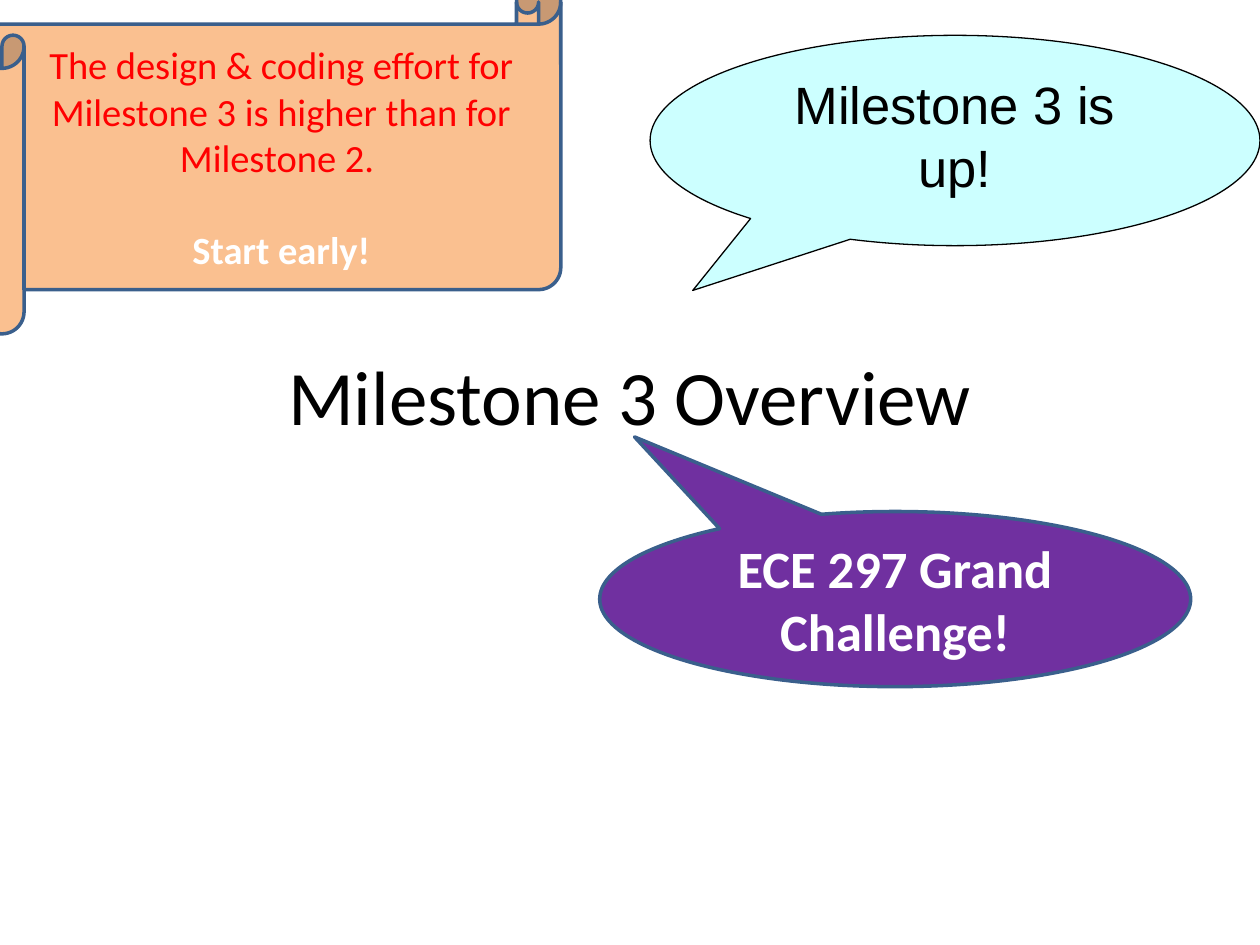
from pptx import Presentation
from pptx.dml.color import RGBColor
from pptx.enum.shapes import MSO_SHAPE
from pptx.enum.text import MSO_ANCHOR, PP_ALIGN
from pptx.util import Pt

SLIDE_SIZE = (720, 540)
BLANK_LAYOUT = 6
SIDE_MARGIN = 9

ANNOUNCEMENT = {
    "preset": MSO_SHAPE.OVAL_CALLOUT,
    "box": (371.5, 20.2, 348.5, 120.2),
    "adjustments": (-0.43, 0.713),
    "fill": "CCFFFF",
    "line": ("000000", 0.75),
    "anchor": MSO_ANCHOR.TOP,
    "paragraphs": [
        ("Milestone 3 is up!", {"name": "Arial", "size": 30}, "000000", 0),
    ],
}
TITLE = {
    "box": (54, 167.8, 612, 115.9),
    "anchor": MSO_ANCHOR.MIDDLE,
    "paragraphs": [
        ("Milestone 3 Overview", {"name": "Calibri", "size": 44}, "000000", 0),
    ],
}
EFFORT_SCROLL = {
    "preset": MSO_SHAPE.HORIZONTAL_SCROLL,
    "box": (-11.5, -11.5, 332, 202.3),
    "fill": "FAC090",
    "line": ("3A5F8C", 2),
    "anchor": MSO_ANCHOR.MIDDLE,
    "paragraphs": [
        ("The design & coding effort for Milestone 3 is higher than for Milestone 2. ",
         {"name": "Calibri", "size": 22}, "FF0000", 0),
        ("Start early!", {"name": "Calibri", "size": 22, "bold": True}, "FFFFFF", 26.5),
    ],
}
CHALLENGE = {
    "preset": MSO_SHAPE.OVAL_CALLOUT,
    "box": (342.7, 292.3, 337.7, 100.1),
    "adjustments": (-0.441, -0.926),
    "fill": "7030A0",
    "line": ("3A5F8C", 2),
    "anchor": MSO_ANCHOR.MIDDLE,
    "paragraphs": [
        ("ECE 297 Grand Challenge!",
         {"name": "Calibri", "size": 30, "bold": True}, "FFFFFF", 0),
    ],
}
ITEMS = [ANNOUNCEMENT, TITLE, EFFORT_SCROLL, CHALLENGE]


def color(value):
    return RGBColor.from_string(value)


def set_attributes(target, values):
    for name, value in values.items():
        setattr(target, name, value)


def write_text(text_frame, item):
    set_attributes(text_frame, {
        "word_wrap": True,
        "vertical_anchor": item["anchor"],
        "margin_left": Pt(SIDE_MARGIN),
        "margin_right": Pt(SIDE_MARGIN),
    })
    for index, (text, font, font_color, space) in enumerate(item["paragraphs"]):
        paragraph = text_frame.add_paragraph() if index else text_frame.paragraphs[0]
        set_attributes(paragraph, {"alignment": PP_ALIGN.CENTER, "space_before": Pt(space)})
        run = paragraph.add_run()
        run.text = text
        set_attributes(run.font, {**font, "size": Pt(font["size"])})
        run.font.color.rgb = color(font_color)


def add_item(slide, item):
    box = [Pt(length) for length in item["box"]]
    if "preset" in item:
        shape = slide.shapes.add_shape(item["preset"], *box)
        shape.shadow.inherit = False
        for index, value in enumerate(item.get("adjustments", ())):
            shape.adjustments[index] = value
        shape.fill.solid()
        shape.fill.fore_color.rgb = color(item["fill"])
        line_color, line_width = item["line"]
        shape.line.color.rgb = color(line_color)
        shape.line.width = Pt(line_width)
    else:
        shape = slide.shapes.add_textbox(*box)
    write_text(shape.text_frame, item)


def main():
    presentation = Presentation()
    presentation.slide_width, presentation.slide_height = map(Pt, SLIDE_SIZE)
    slide = presentation.slides.add_slide(presentation.slide_layouts[BLANK_LAYOUT])
    for item in ITEMS:
        add_item(slide, item)
    presentation.save("out.pptx")


if __name__ == "__main__":
    main()
